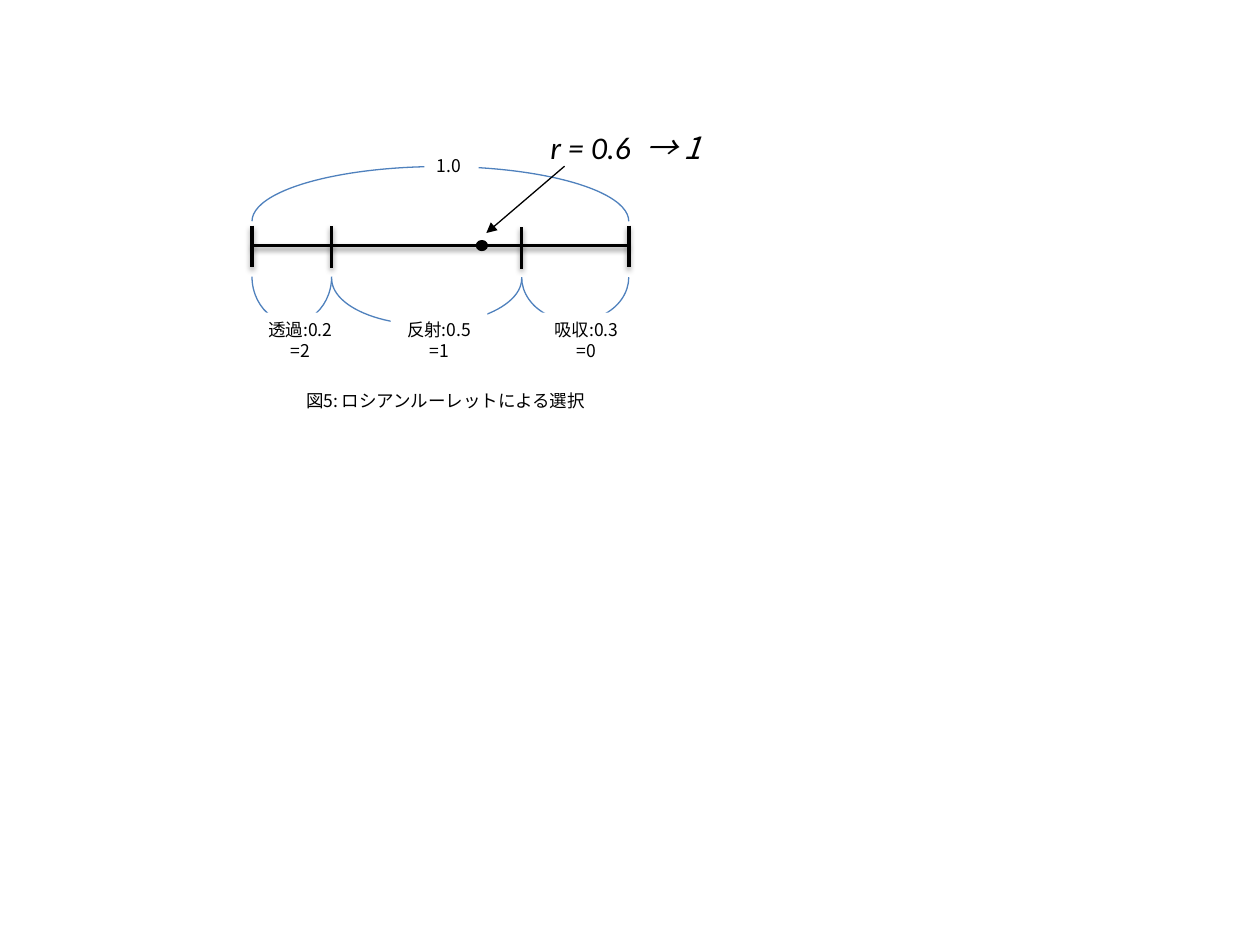
"""Draws a number line that shows selection by Russian roulette."""
from dataclasses import dataclass

import lxml.etree
import pptx
import pptx.dml.color
import pptx.enum.shapes
import pptx.enum.text
import pptx.oxml
import pptx.oxml.ns
import pptx.util

Pt = pptx.util.Pt
Shape = pptx.enum.shapes.MSO_SHAPE
Align = pptx.enum.text.PP_ALIGN


@dataclass(frozen=True)
class Theme:
    ink: str = "000000"
    paper: str = "FFFFFF"
    arc: str = "4F81BD"
    latin: str = "Calibri"
    japanese: str = "Noto Sans CJK JP"
    small: float = 10
    large: float = 18
    thin: float = 0.75
    thick: float = 2


@dataclass(frozen=True)
class Box:
    left: float
    top: float
    width: float
    height: float

    def lengths(self) -> tuple:
        return tuple(Pt(n) for n in (self.left, self.top, self.width, self.height))


@dataclass(frozen=True)
class Arc:
    box: Box
    rotation: float = 180


@dataclass(frozen=True)
class Tick:
    x: float
    top: float


@dataclass(frozen=True)
class Label:
    box: Box
    lines: tuple[str, ...]
    centred: bool = False
    filled: bool = True


THEME = Theme()
AXIS_Y = 140.4
TICK_HEIGHT = 23.8
TICKS = (Tick(144, 128.9), Tick(189.5, 129.4), Tick(298.1, 129.8), Tick(359.3, 128.9))
START, FIRST, SECOND, END = (tick.x for tick in TICKS)
ARCS = (
    Arc(Box(START, 95.2, END - START, 62.6), 0),
    Arc(Box(START, 131.8, FIRST - START, 52.6)),
    Arc(Box(FIRST, 132.9, SECOND - FIRST, 52.6)),
    Arc(Box(SECOND, 133.2, END - SECOND, 50.4)),
)


def outcome(left: float, text: str, code: str) -> Label:
    return Label(Box(left, 178.6, 55.4, 31.7), (text, code), centred=True)


LABELS = (
    Label(Box(242.6, 85, 31, 19.4), ("1.0",)),
    outcome(307.4, "吸収:0.3", "=0"),
    outcome(144, "透過:0.2", "=2"),
    outcome(223.2, "反射:0.5", "=1"),
    Label(Box(167.8, 219.6, 180, 19.4), ("図5: ロシアンルーレットによる選択",), filled=False),
)


def colour(value: str) -> pptx.dml.color.RGBColor:
    return pptx.dml.color.RGBColor.from_string(value)


def add_line(page, start: tuple, end: tuple, width: float, shadow: bool = False):
    line = page.shapes.add_connector(
        pptx.enum.shapes.MSO_CONNECTOR.STRAIGHT, *(Pt(n) for n in start + end))
    line.line.color.rgb = colour(THEME.ink)
    line.line.width = Pt(width)
    properties = line._element.spPr
    effects = lxml.etree.SubElement(properties, pptx.oxml.ns.qn("a:effectLst"))
    if shadow:
        effects.append(pptx.oxml.parse_xml(
            f'<a:outerShdw {pptx.oxml.ns.nsdecls("a")} blurRad="{Pt(3.1)}" '
            f'dist="{Pt(1.6)}" dir="5400000" rotWithShape="0">'
            f'<a:srgbClr val="{THEME.ink}"><a:alpha val="38000"/></a:srgbClr>'
            '</a:outerShdw>'))
    return line


def add_arc(page, arc: Arc) -> None:
    shape = page.shapes.add_shape(Shape.ARC, *arc.box.lengths())
    shape.adjustments[0] = 108.016
    shape.adjustments[1] = 0
    shape.rotation = arc.rotation
    shape.shadow.inherit = False
    shape.fill.background()
    shape.line.color.rgb = colour(THEME.arc)
    shape.line.width = Pt(THEME.thin)


def add_dot(page, box: Box) -> None:
    dot = page.shapes.add_shape(Shape.OVAL, *box.lengths())
    dot.shadow.inherit = False
    dot.fill.solid()
    dot.fill.fore_color.rgb = colour(THEME.ink)
    dot.line.color.rgb = colour(THEME.ink)
    dot.line.width = Pt(THEME.thick)


def set_font(font, name: str, size: float) -> None:
    font.name = name
    font.size = Pt(size)
    font.color.rgb = colour(THEME.ink)
    east_asian = lxml.etree.SubElement(font._element, pptx.oxml.ns.qn("a:ea"))
    east_asian.set("typeface", THEME.japanese)


def add_text_box(page, box: Box):
    shape = page.shapes.add_textbox(*box.lengths())
    shape.text_frame.word_wrap = False
    shape.text_frame.auto_size = pptx.enum.text.MSO_AUTO_SIZE.SHAPE_TO_FIT_TEXT
    return shape


def add_label(page, label: Label) -> None:
    shape = add_text_box(page, label.box)
    if label.filled:
        shape.fill.solid()
        shape.fill.fore_color.rgb = colour(THEME.paper)
    shape.text_frame.text = "\n".join(label.lines)
    for para in shape.text_frame.paragraphs:
        para.alignment = Align.CENTER if label.centred else Align.LEFT
        set_font(para.font, THEME.japanese, THEME.small)


def add_sample(page, box: Box) -> None:
    para = add_text_box(page, box).text_frame.paragraphs[0]
    para.font.italic = True
    for text, name in (("r = 0.6 ", THEME.latin), (" → 1", THEME.japanese)):
        span = para.add_run()
        span.text = text
        set_font(span.font, name, THEME.large)


def add_arrow(page, start: tuple, end: tuple) -> None:
    arrow = add_line(page, start, end, THEME.thin)
    head = lxml.etree.SubElement(arrow.line._get_or_add_ln(), pptx.oxml.ns.qn("a:tailEnd"))
    head.set("type", "triangle")


def main() -> None:
    deck = pptx.Presentation()
    deck.slide_width, deck.slide_height = Pt(720), Pt(540)
    page = deck.slides.add_slide(deck.slide_layouts[6])
    add_line(page, (START, AXIS_Y), (END, AXIS_Y), THEME.thick, shadow=True)
    for tick in TICKS:
        add_line(page, (tick.x, tick.top), (tick.x, tick.top + TICK_HEIGHT),
                 THEME.thick, shadow=True)
    for arc in ARCS:
        add_arc(page, arc)
    add_dot(page, Box(272.9, 138.2, 5, 4.3))
    for label in LABELS:
        add_label(page, label)
    add_sample(page, Box(307.4, 69.8, 113.8, 28.8))
    add_arrow(page, (322.6, 95), (277.9, 133.2))
    deck.save("out.pptx")


if __name__ == "__main__":
    main()
